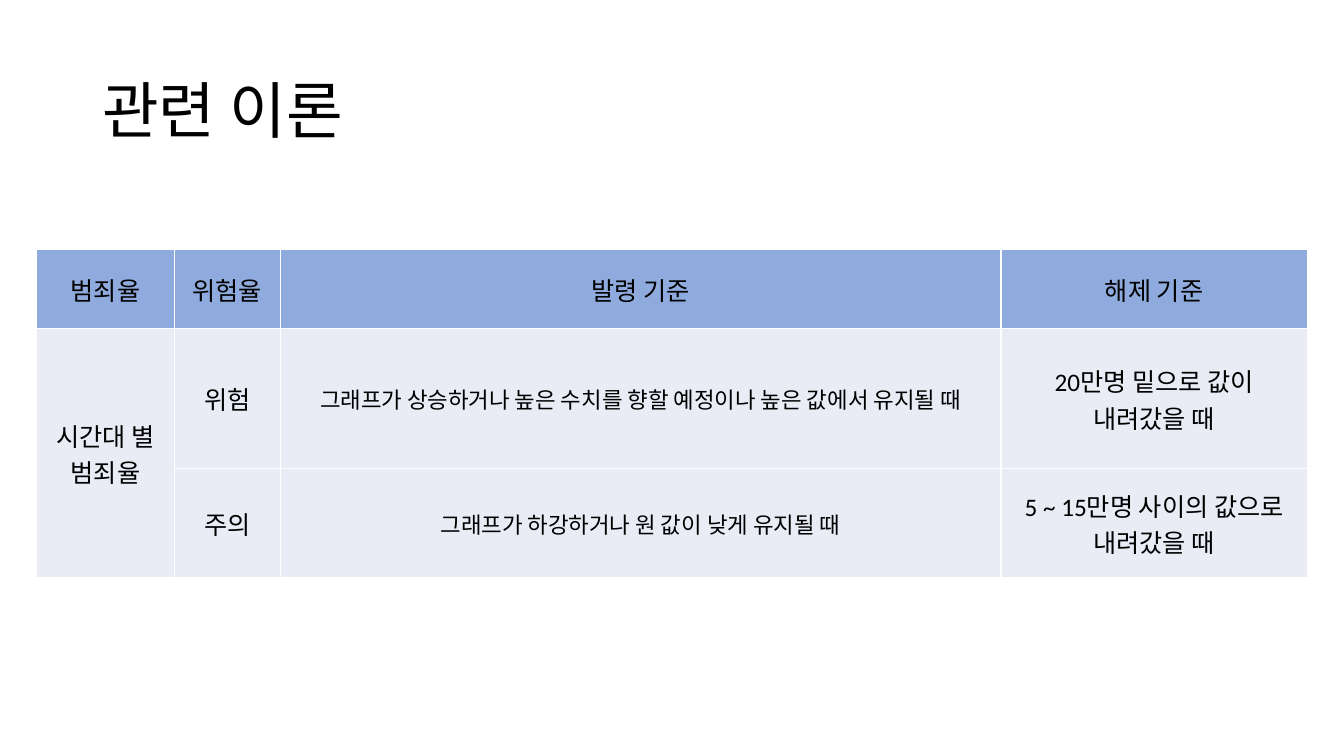
"""Build a slide with a table of alert criteria by crime rate."""
from lxml.etree import SubElement
from pptx import Presentation
from pptx.dml.color import RGBColor
from pptx.enum.text import MSO_ANCHOR, PP_ALIGN
from pptx.oxml.ns import qn
from pptx.util import Pt

BLACK = RGBColor(0x00, 0x00, 0x00)
WHITE = RGBColor(0xFF, 0xFF, 0xFF)
HEADER_BLUE = RGBColor(0x8F, 0xAA, 0xDC)
BODY_GREY = RGBColor(0xE9, 0xEB, 0xF5)
COL_WIDTHS = [98.64, 75.6, 514.8, 218.88]
ROW_HEIGHTS = [56.88, 100.08, 77.76]
ROWS = [
    ["범죄율", "위험율", "발령 기준", "해제 기준"],
    ["시간대 별\n범죄율", "위험",
     "그래프가 상승하거나 높은 수치를 향할 예정이나 높은 값에서 유지될 때",
     "20만명 밑으로 값이 내려갔을 때"],
    ["", "주의", "그래프가 하강하거나 원 값이 낮게 유지될 때",
     "5 ~ 15만명 사이의 값으로 내려갔을 때"],
]


def set_font(p, size):
    for name, value in {"name": "Calibri", "size": Pt(size)}.items():
        setattr(p.font, name, value)
    p.font.color.rgb = BLACK


def add_borders(cell):
    tc_pr = cell._tc.get_or_add_tcPr()
    for side in ("L", "R", "T", "B"):
        ln = SubElement(tc_pr, qn(f"a:ln{side}"), w=str(Pt(1)))
        fill = SubElement(ln, qn("a:solidFill"))
        SubElement(fill, qn("a:srgbClr"), val=str(WHITE))


prs = Presentation()
prs.slide_width, prs.slide_height = Pt(960), Pt(540)
s = prs.slides.add_slide(prs.slide_layouts[6])

title = s.shapes.add_textbox(Pt(66), Pt(28.8), Pt(828), Pt(104.4))
tf = title.text_frame
tf.word_wrap = True
tf.vertical_anchor = MSO_ANCHOR.MIDDLE
p = tf.paragraphs[0]
p.text = "관련 이론"
p.line_spacing = 0.9
set_font(p, 44)

table = s.shapes.add_table(len(ROWS), len(COL_WIDTHS), Pt(26), Pt(178),
                           Pt(sum(COL_WIDTHS)), Pt(sum(ROW_HEIGHTS))).table
table.first_row = table.horz_banding = False
for column, width in zip(table.columns, COL_WIDTHS):
    column.width = Pt(width)
for row, height in zip(table.rows, ROW_HEIGHTS):
    row.height = Pt(height)
table.cell(1, 0).merge(table.cell(2, 0))

for i, texts in enumerate(ROWS):
    for j, text in enumerate(texts):
        cell = table.cell(i, j)
        add_borders(cell)
        cell.fill.solid()
        cell.fill.fore_color.rgb = BODY_GREY if i else HEADER_BLUE
        cell.vertical_anchor = MSO_ANCHOR.MIDDLE
        cell.text = text
        for p in cell.text_frame.paragraphs:
            p.alignment = PP_ALIGN.CENTER
            set_font(p, 16 if i and j == 2 else 18)

prs.save("out.pptx")
